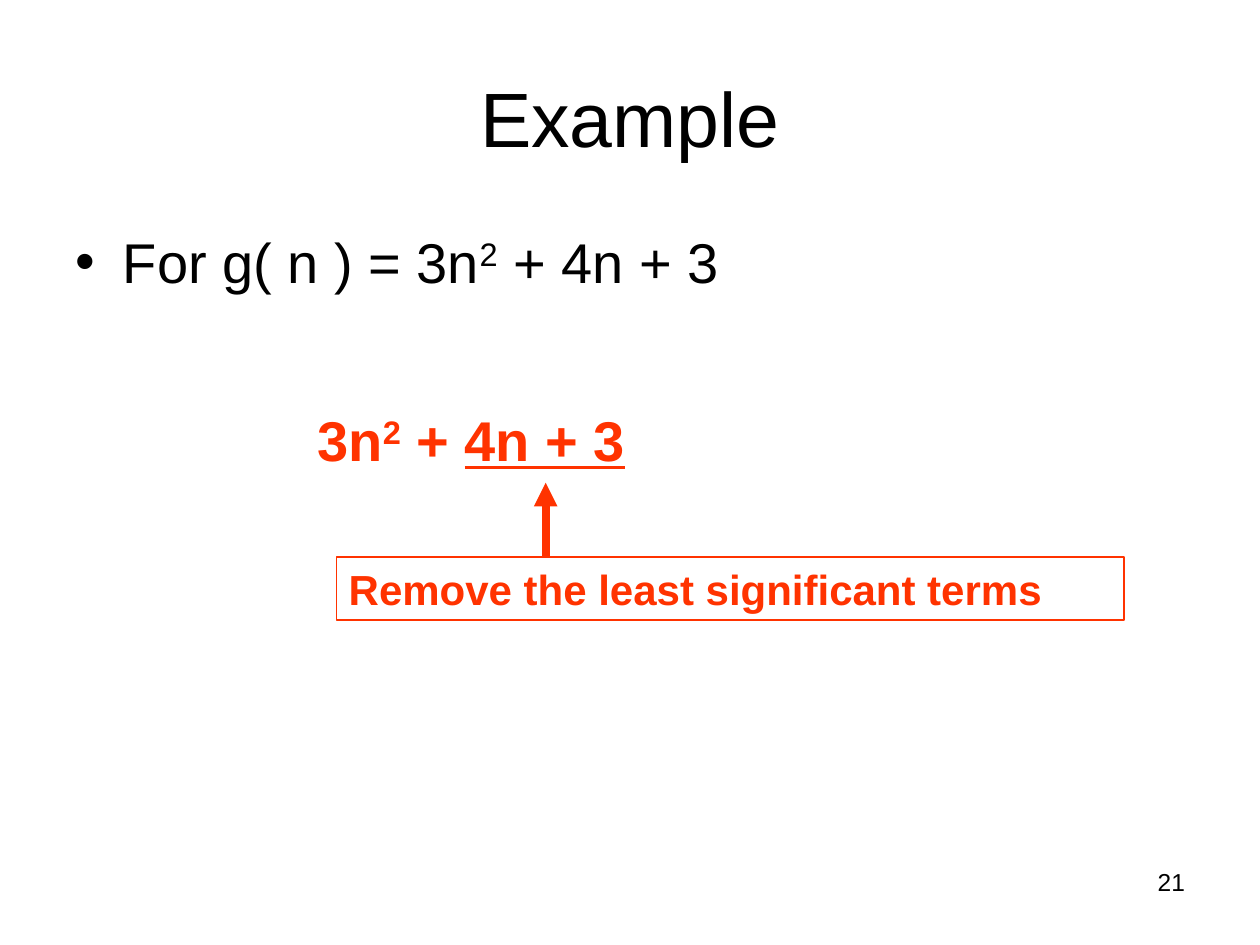
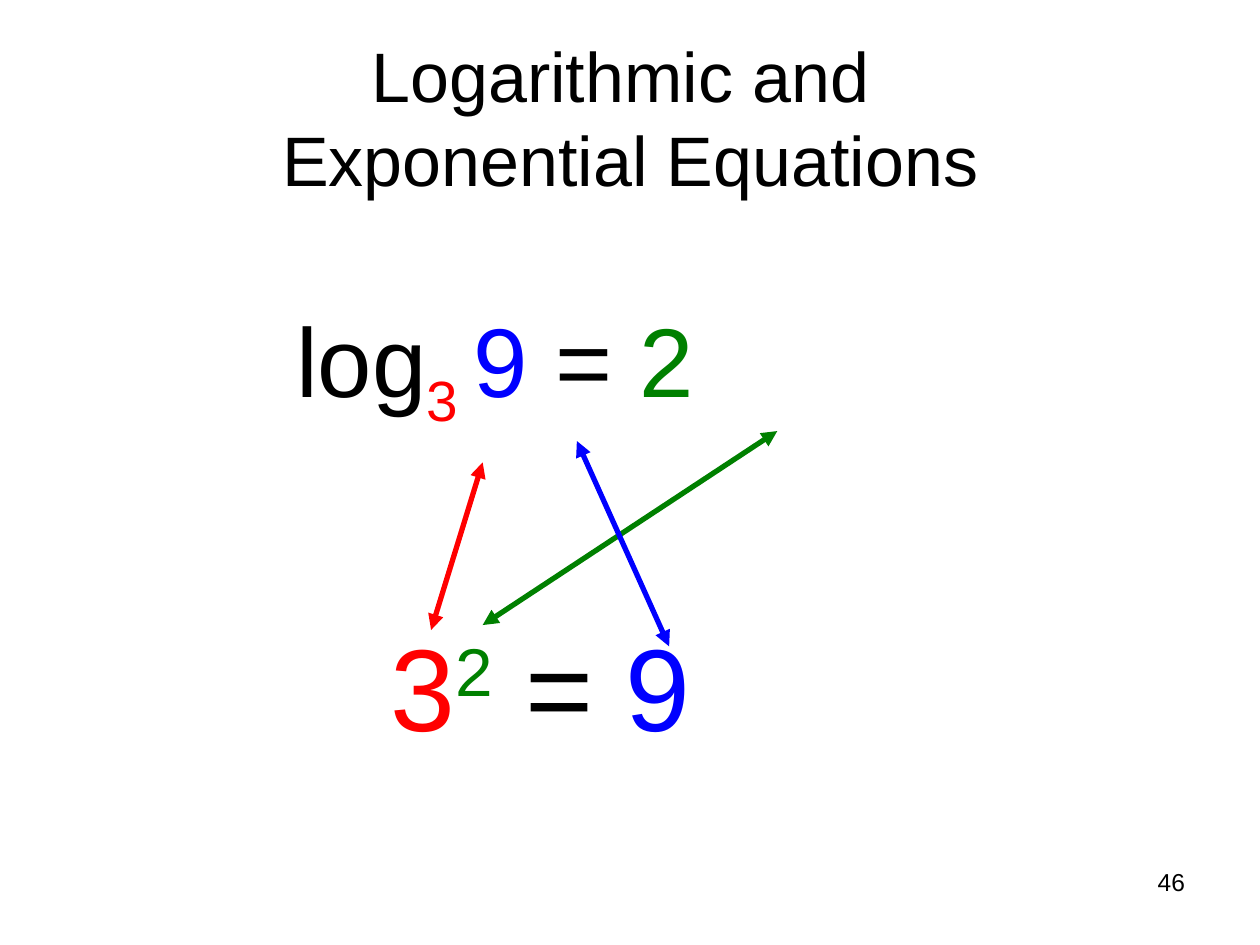
import lxml.etree
import pptx
import pptx.util
import pptx.dml.color
import pptx.enum.shapes
import pptx.enum.text
import pptx.oxml.ns

Cm, Pt = pptx.util.Cm, pptx.util.Pt
PP_ALIGN = pptx.enum.text.PP_ALIGN
ANCHOR = pptx.enum.text.MSO_ANCHOR

COLORS = {
    "text": "000000",
    "accent": "FF3300",
    "base": "FF0000",
    "power": "008000",
    "result": "0000FF",
}
FONT = "Arial"
TITLE_BOX = (1.27, 0.76, 22.86, 3.18)
BODY_BOX = (1.27, 4.45, 22.86, 12.57)
NUMBER_BOX = (18.21, 17.35, 5.93, 1.32)
SUPER, SUB = 30000, -25000


def rgb(name):
    """Return the named colour as an RGB value."""
    return pptx.dml.color.RGBColor.from_string(COLORS[name])


def place(shape, box):
    """Move a shape to a box given in centimetres."""
    for name, value in zip(("left", "top", "width", "height"), box):
        setattr(shape, name, Cm(value))


def fill_text(shape, runs, size, align=PP_ALIGN.LEFT, anchor=ANCHOR.TOP, before=0, **font):
    """Write one paragraph of (text, color, baseline, underline) runs."""
    tf = shape.text_frame
    frame = {"word_wrap": True, "auto_size": pptx.enum.text.MSO_AUTO_SIZE.NONE,
             "vertical_anchor": anchor}
    for name, value in frame.items():
        setattr(tf, name, value)
    p = tf.paragraphs[0]
    p.alignment, p.space_before = align, Pt(before)
    for text, color, baseline, underline in runs:
        for i, part in enumerate(text.split("\n")):
            if i:
                p.add_line_break()
            r = p.add_run()
            r.text = part
            style = {"name": FONT, "size": Pt(size), "underline": underline, **font}
            for name, value in style.items():
                setattr(r.font, name, value)
            r.font.color.rgb = rgb(color)
            if baseline:
                r._r.get_or_add_rPr().set("baseline", str(baseline))


def run(text, color="text", baseline=0, underline=None):
    """Describe one run of text."""
    return text, color, baseline, underline


def add_text(s, box, runs, size, **kwargs):
    """Add a text box."""
    tb = s.shapes.add_textbox(*map(Cm, box))
    fill_text(tb, runs, size, **kwargs)


def add_element(parent, tag, **attributes):
    """Append a drawing element to an XML parent."""
    lxml.etree.SubElement(parent, pptx.oxml.ns.qn(tag), **attributes)


def add_arrow(s, start, end, color, width, ends=("tailEnd",)):
    """Add a straight line with triangular arrowheads."""
    line = s.shapes.add_connector(pptx.enum.shapes.MSO_CONNECTOR.STRAIGHT,
                                  *map(Cm, start + end))
    line.line.color.rgb = rgb(color)
    line.line.width = Pt(width)
    sp_pr = line._element.spPr
    ln = sp_pr.find(pptx.oxml.ns.qn("a:ln"))
    for tag in ends:
        add_element(ln, f"a:{tag}", type="triangle")
    add_element(sp_pr, "a:effectLst")


def add_slide(prs, layout, title, size, number):
    """Add a slide with its title and page number."""
    s = prs.slides.add_slide(prs.slide_layouts.get_by_name(layout))
    place(s.shapes.title, TITLE_BOX)
    fill_text(s.shapes.title, [run(title)], size,
              align=PP_ALIGN.CENTER, anchor=ANCHOR.MIDDLE)
    add_text(s, NUMBER_BOX, [run(number)], 14, align=PP_ALIGN.RIGHT)
    return s


def add_reduction(s, box):
    """Draw the formula and the note pointing at its lesser terms."""
    left, top, width, height = box
    indent, note_height = 0.63, 1.27
    note_top = top + height - note_height
    arrow_x = left + 4.85
    add_text(s, (left, top, 13.33, 1.63),
             [run("3n", "accent"), run("2", "accent", SUPER), run(" + ", "accent"),
              run("4n + 3", "accent", underline=True)],
             32, before=20, bold=True)
    note = s.shapes.add_shape(
        pptx.enum.shapes.MSO_SHAPE.RECTANGLE,
        *map(Cm, (left + indent, note_top, width - indent, note_height)))
    note.shadow.inherit = False
    note.fill.background()
    note.line.color.rgb = rgb("accent")
    note.line.width = Pt(0.75)
    fill_text(note, [run("Remove the least significant terms", "accent")],
              24, before=15, bold=True)
    add_arrow(s, (arrow_x, note_top), (arrow_x, note_top - 1.5), "accent", 4.5)


def add_equations(s, box):
    """Draw both equations and the arrows that match their parts."""
    left, top, width, height = box
    row = 3.18
    add_text(s, (left, top, width, row),
             [run("log"), run("3 ", "base", SUB), run("9", "result"),
              run(" = "), run("2", "power")], 55.8)
    add_text(s, (left + 1.9, top + height - row, 8.15, row),
             [run("3", "base"), run("2", "power", SUPER), run(" = "),
              run("9", "result")], 66.6)
    matches = (
        ("base", (4.01, 3.4), (2.97, 6.78)),
        ("power", (9.95, 2.77), (4.01, 6.68)),
        ("result", (5.91, 2.97), (7.77, 7.11)),
    )
    for color, *points in matches:
        start, end = [(left + x, top + y) for x, y in points]
        add_arrow(s, start, end, color, 3, ends=("headEnd", "tailEnd"))


def example_slide(prs):
    """Build the slide that simplifies a polynomial."""
    s = add_slide(prs, "Title and Content", "Example", 44, "21")
    body = s.placeholders[1]
    place(body, BODY_BOX)
    fill_text(body, [run("For g( n ) = 3n"), run("2", baseline=SUPER),
                     run(" + 4n + 3")], 32, before=8)
    add_reduction(s, (6.15, 8.05, 16.51, 4.45))


def logarithm_slide(prs):
    """Build the slide that relates logarithms and powers."""
    s = add_slide(prs, "Title Only", "Logarithmic and \nExponential Equations", 40, "46")
    add_equations(s, (5.72, 5.92, 12.95, 9.53))


def main():
    """Build and save the presentation."""
    prs = pptx.Presentation()
    prs.slide_width, prs.slide_height = Cm(25.4), Cm(19.05)
    example_slide(prs)
    logarithm_slide(prs)
    prs.save("out.pptx")


if __name__ == "__main__":
    main()
